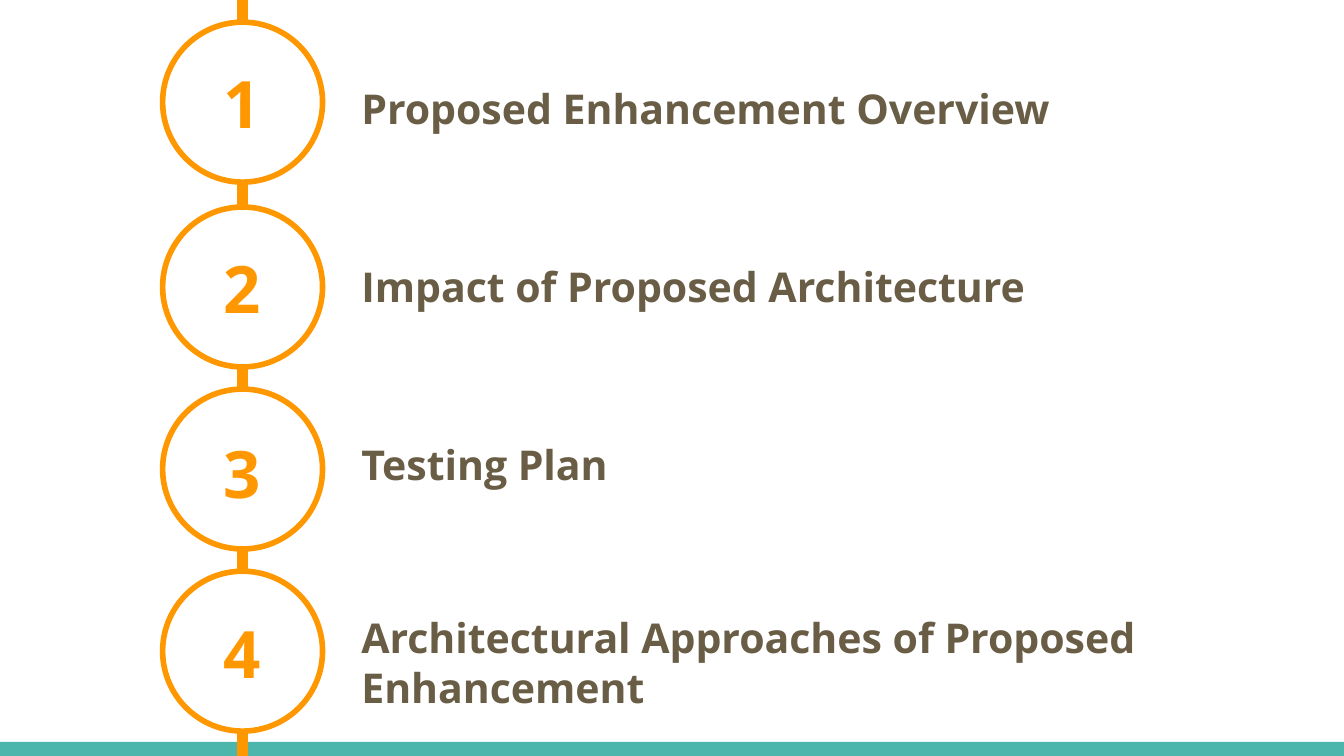
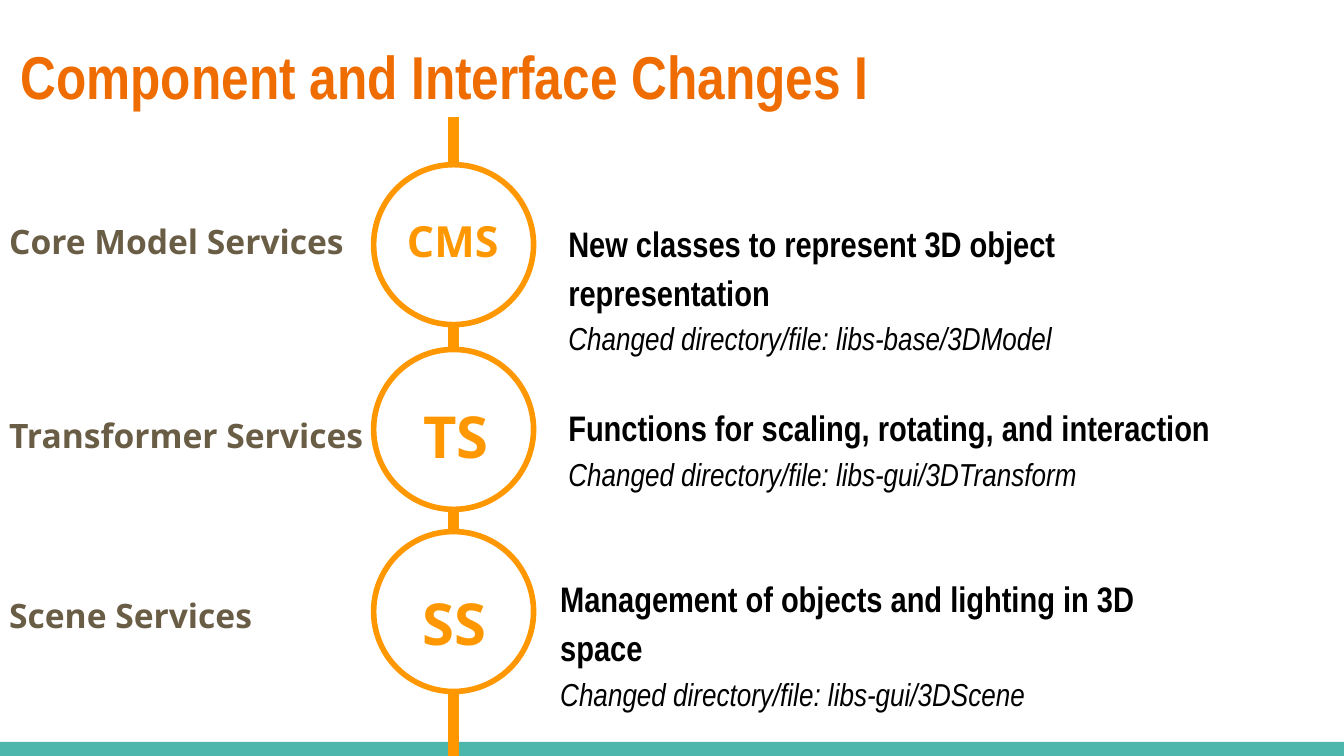
from dataclasses import dataclass

from lxml.etree import SubElement
from pptx import Presentation
from pptx.dml.color import RGBColor
from pptx.enum.shapes import MSO_CONNECTOR, MSO_SHAPE
from pptx.oxml.ns import qn
from pptx.slide import Slide
from pptx.util import Pt

PX = 4572  # 200 px to the inch
SLIDE_WIDTH, SLIDE_HEIGHT = 2000, 1125
INSET = 20
RING_SIZE = 238
BAND_HEIGHT = 21
COLORS = {
    "white": "FFFFFF",
    "band": "4DB6AC",
    "timeline": "FF9800",
    "label": "695D46",
    "title": "EF6C00",
    "body": "000000",
}


@dataclass(frozen=True)
class Box:
    left: int
    top: int
    width: int
    height: int

    def emu(self) -> tuple[int, int, int, int]:
        return self.left * PX, self.top * PX, self.width * PX, self.height * PX


@dataclass(frozen=True)
class Style:
    font: str
    size: float
    color: str
    bold: bool = True
    italic: bool = False
    spacing: float | None = None


@dataclass(frozen=True)
class Label:
    text: str
    box: Box
    style: Style


@dataclass(frozen=True)
class Change:
    summary: str
    location: str
    box: Box


TITLE = Style("Arial Narrow", 32.4, "title")
NUMBER = Style("Open Sans", 35, "timeline")
LONG_CODE = Style("Open Sans", 23, "timeline")
SHORT_CODE = Style("Open Sans", 31, "timeline")
TOPIC = Style("Open Sans", 22, "label")
SERVICE = Style("Open Sans", 18, "label")
SUMMARY = Style("Arial Narrow", 19, "body", spacing=1.15)
LOCATION = Style("Arial Narrow", 17, "body", bold=False, italic=True, spacing=1.15)

AGENDA_RING_TOPS = [33, 308, 579, 850]
AGENDA_NUMBER_TOPS = [74, 350, 625, 892]
AGENDA_TOPICS = [
    Label("Proposed Enhancement Overview", Box(518, 104, 1296, 110), TOPIC),
    Label("Impact of Proposed Architecture", Box(518, 369, 1482, 110), TOPIC),
    Label("Testing Plan", Box(518, 634, 1482, 110), TOPIC),
    Label("Architectural Approaches of Proposed Enhancement", Box(518, 892, 1482, 168), TOPIC),
]

CHANGE_RING_TOPS = [245, 520, 791]
CHANGE_LABELS = [
    Label("CMS", Box(586, 300, 180, 126), LONG_CODE),
    Label("TS", Box(610, 576, 180, 110), SHORT_CODE),
    Label("SS", Box(609, 854, 164, 110), SHORT_CODE),
    Label("Core Model Services", Box(-6, 309, 584, 110), SERVICE),
    Label("Transformer Services", Box(-6, 597, 584, 110), SERVICE),
    Label("Scene Services", Box(-6, 866, 528, 110), SERVICE),
]
CHANGES = [
    Change("New classes to represent 3D object representation",
           "libs-base/3DModel", Box(826, 301, 1036, 154)),
    Change("Functions for scaling, rotating, and interaction",
           "libs-gui/3DTransform", Box(826, 575, 1036, 154)),
    Change("Management of objects and lighting in 3D space",
           "libs-gui/3DScene", Box(814, 830, 950, 182)),
]


def rgb(name: str) -> RGBColor:
    return RGBColor.from_string(COLORS[name])


def add_banded_slide(deck: Presentation) -> Slide:
    slide = deck.slides.add_slide(deck.slide_layouts[6])
    slide.background.fill.solid()
    slide.background.fill.fore_color.rgb = rgb("white")
    band_box = Box(0, SLIDE_HEIGHT - BAND_HEIGHT, SLIDE_WIDTH, BAND_HEIGHT)
    band = slide.shapes.add_shape(MSO_SHAPE.RECTANGLE, *band_box.emu())
    band.shadow.inherit = False
    band.fill.solid()
    band.fill.fore_color.rgb = rgb("band")
    band.line.fill.background()
    return slide


def add_text(slide: Slide, box: Box, lines: list[tuple[str, Style]]) -> None:
    """Add a wrapped text box with one styled paragraph per line."""
    frame = slide.shapes.add_textbox(*box.emu()).text_frame
    frame.word_wrap = True
    frame.margin_left = frame.margin_right = INSET * PX
    frame.margin_top = frame.margin_bottom = INSET * PX
    for index, (text, style) in enumerate(lines):
        paragraph = frame.add_paragraph() if index else frame.paragraphs[0]
        paragraph.text = text
        paragraph.line_spacing = style.spacing
        paragraph.font.name = style.font
        paragraph.font.size = Pt(style.size)
        paragraph.font.bold = style.bold
        paragraph.font.italic = style.italic
        paragraph.font.color.rgb = rgb(style.color)


def add_label(slide: Slide, label: Label) -> None:
    add_text(slide, label.box, [(label.text, label.style)])


def add_timeline(slide: Slide, center: int, top: int, bottom: int, ring_tops: list[int]) -> None:
    """Draw a vertical line with rings centred on it."""
    spine = slide.shapes.add_connector(
        MSO_CONNECTOR.STRAIGHT, center * PX, top * PX, center * PX, bottom * PX)
    spine.line.color.rgb = rgb("timeline")
    spine.line.width = Pt(6)
    SubElement(spine._element.spPr, qn("a:effectLst"))
    for ring_top in ring_tops:
        ring_box = Box(center - RING_SIZE // 2, ring_top, RING_SIZE, RING_SIZE)
        ring = slide.shapes.add_shape(MSO_SHAPE.OVAL, *ring_box.emu())
        ring.shadow.inherit = False
        ring.fill.solid()
        ring.fill.fore_color.rgb = rgb("white")
        ring.line.color.rgb = rgb("timeline")
        ring.line.width = Pt(3)


def build_agenda(deck: Presentation) -> None:
    slide = add_banded_slide(deck)
    add_timeline(slide, 361, 0, 1134, AGENDA_RING_TOPS)
    for number, top in enumerate(AGENDA_NUMBER_TOPS, start=1):
        add_label(slide, Label(str(number), Box(313, top, 92, 110), NUMBER))
    for topic in AGENDA_TOPICS:
        add_label(slide, topic)


def build_changes(deck: Presentation) -> None:
    slide = add_banded_slide(deck)
    add_label(slide, Label("Component and Interface Changes I", Box(11, 38, 1864, 154), TITLE))
    add_timeline(slide, 675, 174, 1130, CHANGE_RING_TOPS)
    for label in CHANGE_LABELS:
        add_label(slide, label)
    for change in CHANGES:
        add_text(slide, change.box, [
            (change.summary, SUMMARY),
            (f"Changed directory/file: {change.location}", LOCATION),
        ])


def main() -> None:
    deck = Presentation()
    deck.slide_width = SLIDE_WIDTH * PX
    deck.slide_height = SLIDE_HEIGHT * PX
    build_agenda(deck)
    build_changes(deck)
    deck.save("out.pptx")


if __name__ == "__main__":
    main()
